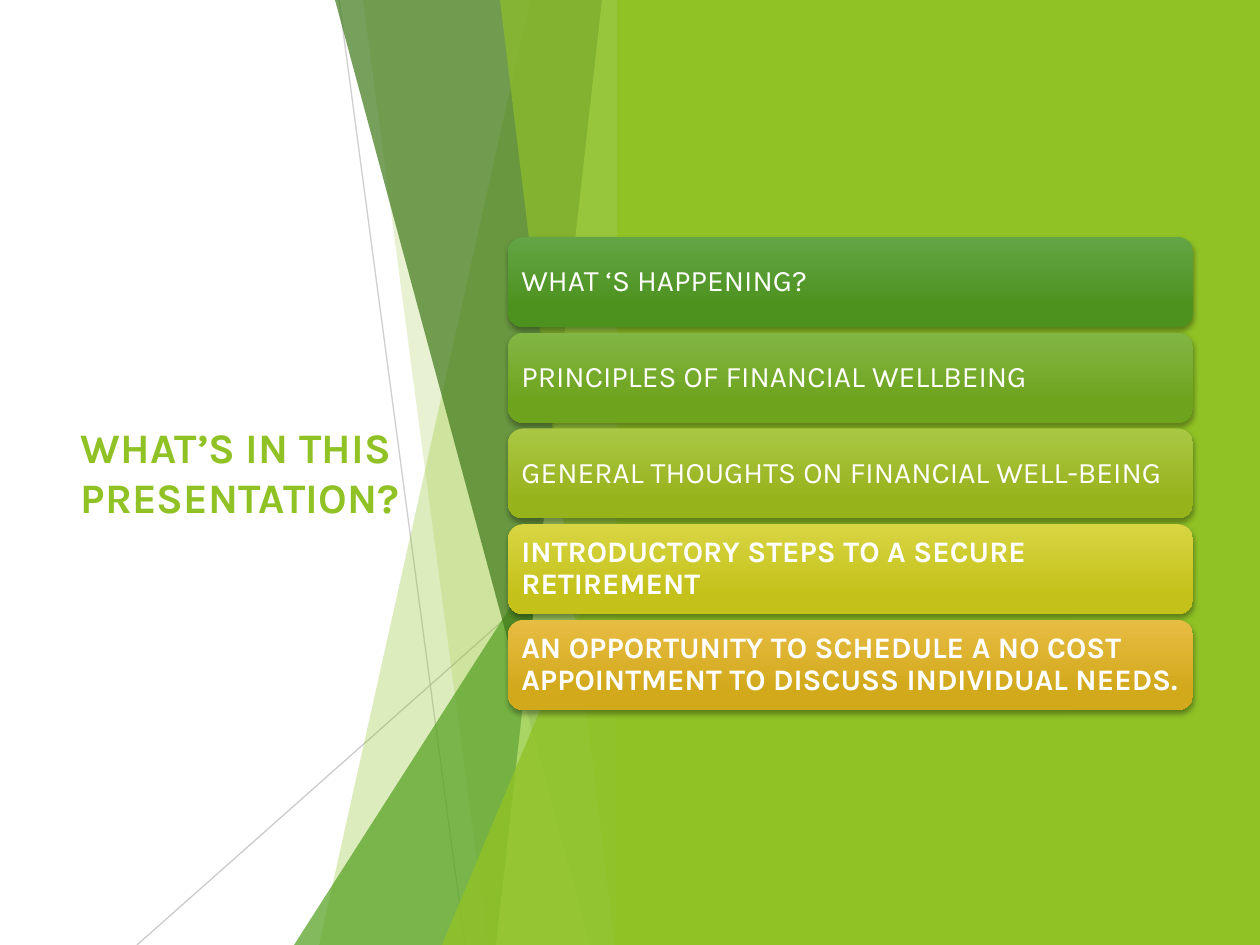
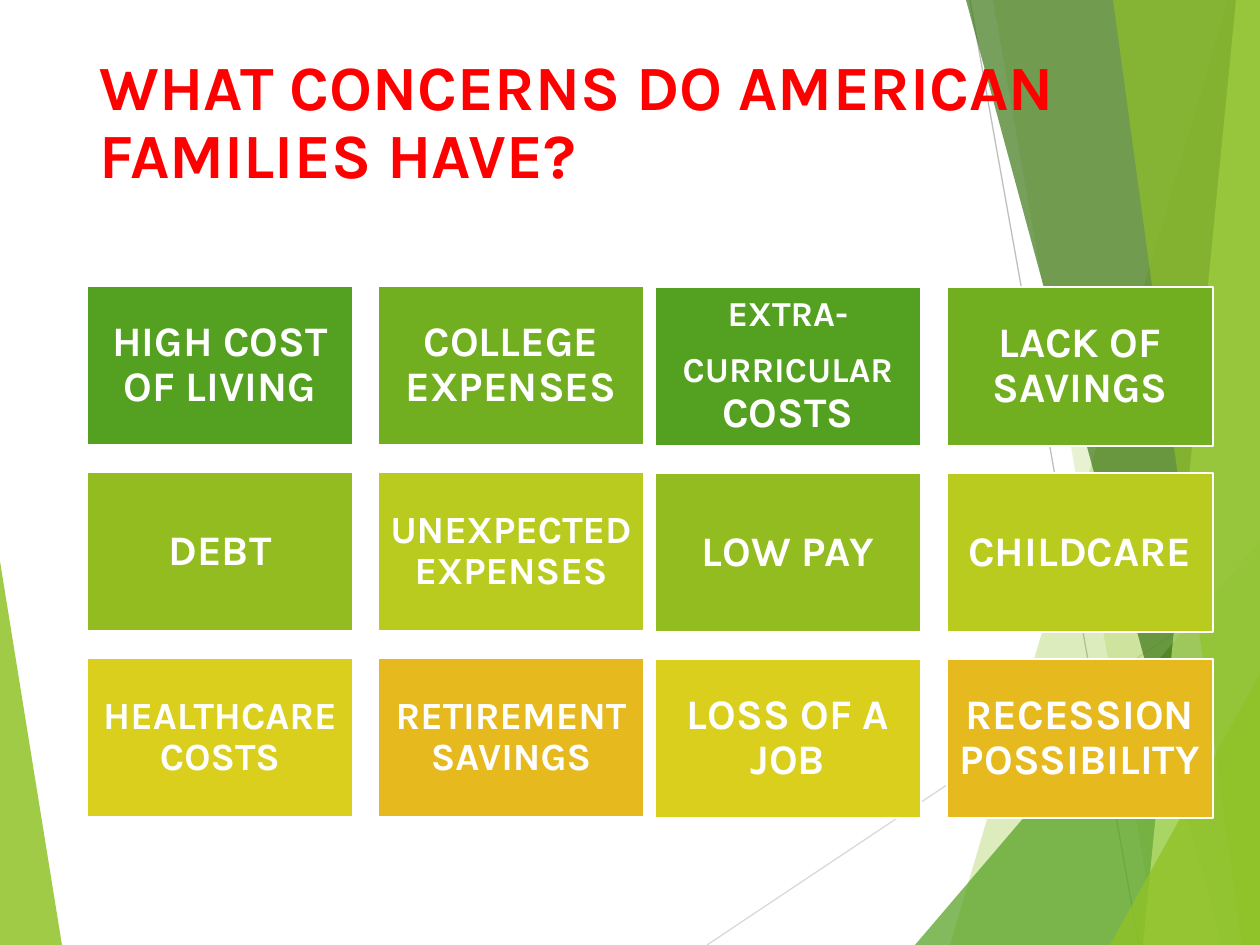
from collections import namedtuple

from lxml.etree import SubElement
from pptx import Presentation
from pptx.dml.color import RGBColor
from pptx.enum.shapes import MSO_CONNECTOR, MSO_SHAPE
from pptx.enum.text import MSO_ANCHOR, PP_ALIGN
from pptx.oxml.ns import qn
from pptx.util import Pt

EMU_PER_PX = 914400 / 126
WIDTH, HEIGHT = 1260, 945
FONT = "Karla"
WHITE, RED, LIME = "FFFFFF", "FF0000", "90C226"
GREEN, FOREST, MINT = "54A021", "3F7819", "C0E474"

Box = namedtuple("Box", "left top width height")
Span = namedtuple("Span", "text size bold")

# Colour and opacity of each facet, from back to front
FACET_STYLES = [(LIME, 30), (LIME, 20), (GREEN, 72), (FOREST, 70),
                (MINT, 70), (LIME, 65), (LIME, 80)]
# Each facet: x and y of its head, x of its foot; it runs to the right edge
AGENDA_FACETS = [(530, 0, 319), (363, 0, 488), (630, 420, 294), (335, 0, 590),
                 (602, 0, 496), (500, 0, 615), (630, 495, 442)]
CONCERN_FACETS = [(598, 0, 320), (363, 0, 528), (630, 541, 285), (336, 0, 592),
                  (606, 0, 513), (483, 0, 612), (630, 674, 480)]
# Each ray: start x, y, end x, y, colour, opacity
AGENDA_RAYS = [(339, 0, 465, 945, "BFBFBF", 75), (630, 508, 137, 945, "BFBFBF", 80)]
CONCERN_RAYS = [(77, 945, 630, 576, "D9D9D9", 100), (340, 0, 509, 945, "BFBFBF", 100)]

AGENDA = [
    ("WHAT ‘S HAPPENING?", False, "63A545", "4D921E"),
    ("PRINCIPLES OF FINANCIAL WELLBEING", False, "82B644", "6EA31D"),
    ("GENERAL THOUGHTS ON FINANCIAL WELL-BEING", False, "AAC744", "97B31C"),
    ("INTRODUCTORY STEPS TO A SECURE RETIREMENT", True, "D8D543", "C4C11A"),
    ("AN OPPORTUNITY TO SCHEDULE A NO COST APPOINTMENT TO DISCUSS "
     "INDIVIDUAL NEEDS.", True, "E7BC43", "D2A91B"),
]
TILE_COLOURS = [GREEN, "71AE20", "92BC1F", "B9CB1E", "DACF1C", "E6B91E"]


def bold(text, size=24):
    return Span(text, size, True)


# Each tile is a list of paragraphs, each paragraph a list of spans
FAMILY_TILES = [
    [[bold("HIGH COST OF LIVING")]],
    [[bold("COLLEGE EXPENSES")]],
    [[bold("DEBT")]],
    [[bold("UNEXPECTED EXPENSES", 22)]],
    [[bold("HEALTHCARE COSTS", 22)]],
    [[bold("RETIREMENT SAVINGS", 22)]],
]
INCOME_TILES = [
    [[bold("EXTRA-", 20)], [bold("CURRICULAR", 20), bold(" COSTS")]],
    [[bold("LACK OF SAVINGS")]],
    [[bold("LOW PAY")]],
    [[bold("CHILDCARE")]],
    [[bold("LOSS OF A JOB")]],
    [[bold("RECESSION POSSIBILITY")]],
]


def px(length):
    return round(length * EMU_PER_PX)


def colour(hex_string):
    return RGBColor.from_string(hex_string)


def set_opacity(part, percent):
    if percent < 100:
        tint = part._element.spPr.find(".//" + qn("a:srgbClr"))
        SubElement(tint, qn("a:alpha"), val=str(percent * 1000))


def write(shape, paragraphs, text_colour=WHITE, inset=(13, 6), spacing=0.9,
          align=PP_ALIGN.LEFT, anchor=MSO_ANCHOR.MIDDLE):
    frame = shape.text_frame
    frame.word_wrap = True
    frame.vertical_anchor = anchor
    frame.margin_left = frame.margin_right = px(inset[0])
    frame.margin_top = frame.margin_bottom = px(inset[1])
    for index, spans in enumerate(paragraphs):
        para = frame.add_paragraph() if index else frame.paragraphs[0]
        para.alignment = align
        para.line_spacing = spacing
        if index < len(paragraphs) - 1:
            para.space_after = Pt(7)
        for span in spans:
            run = para.add_run()
            run.text = span.text
            run.font.name = FONT
            run.font.size = Pt(span.size)
            run.font.bold = span.bold
            run.font.color.rgb = colour(text_colour)


def add_title(page, box, text, size, text_colour, spacing, anchor):
    title = page.shapes.add_textbox(*map(px, box))
    write(title, [[bold(text, size)]], text_colour, spacing=spacing, anchor=anchor)


def add_block(page, kind, box, fill=None):
    block = page.shapes.add_shape(kind, *map(px, box))
    block.shadow.inherit = False
    block.line.fill.background()
    if fill:
        block.fill.solid()
        block.fill.fore_color.rgb = colour(fill)
    return block


def add_facet(page, points, fill, opacity):
    builder = page.shapes.build_freeform(*points[0], scale=EMU_PER_PX)
    builder.add_line_segments(points[1:], close=True)
    facet = builder.convert_to_shape()
    facet.shadow.inherit = False
    facet.fill.solid()
    facet.fill.fore_color.rgb = colour(fill)
    facet.line.fill.background()
    set_opacity(facet, opacity)


def add_ray(page, box, ray):
    x1, y1, x2, y2, tint, opacity = ray
    line = page.shapes.add_connector(
        MSO_CONNECTOR.STRAIGHT, px(box.left + x1), px(box.top + y1),
        px(box.left + x2), px(box.top + y2))
    line.line.width = Pt(0.75)
    line.line.color.rgb = colour(tint)
    set_opacity(line, opacity)
    SubElement(line._element.spPr, qn("a:effectLst"))


def add_facets(page, box, rays, facets):
    """Draw thin rays and, over them, translucent facets ending at the box's right."""
    for ray in rays:
        add_ray(page, box, ray)
    right, bottom = box.left + box.width, box.top + box.height
    for (head_x, head_y, foot_x), style in zip(facets, FACET_STYLES):
        head = (box.left + head_x, box.top + head_y)
        corners = [head, (right, head[1]), (right, bottom), (box.left + foot_x, bottom)]
        add_facet(page, list(dict.fromkeys(corners)), *style)


def add_soft_shadow(shape):
    effects = shape._element.spPr.find(qn("a:effectLst"))
    shadow = SubElement(effects, qn("a:outerShdw"), blurRad=str(Pt(3)),
                        dist=str(Pt(2)), dir="5400000", rotWithShape="0")
    tint = SubElement(shadow, qn("a:srgbClr"), val="000000")
    SubElement(tint, qn("a:alpha"), val="35000")


def add_agenda(page, box, bar_height=90):
    pitch = (box.height - bar_height) / (len(AGENDA) - 1)
    for index, (text, is_bold, light, deep) in enumerate(AGENDA):
        bar_box = Box(box.left, box.top + index * pitch, box.width, bar_height)
        bar = add_block(page, MSO_SHAPE.ROUNDED_RECTANGLE, bar_box)
        bar.fill.gradient()
        bar.fill.gradient_angle = 270
        for stop, tint, position in zip(bar.fill.gradient_stops, (light, deep), (0, 0.78)):
            stop.color.rgb = colour(tint)
            stop.position = position
        add_soft_shadow(bar)
        write(bar, [[Span(text, 17, is_bold)]], inset=(9, 9))


def add_tiles(page, box, tiles, tile_width=266, tile_height=159):
    """Fill the box with two columns and three rows of tiles."""
    across, down = box.width - tile_width, (box.height - tile_height) / 2
    for index, (paragraphs, fill) in enumerate(zip(tiles, TILE_COLOURS)):
        row, column = divmod(index, 2)
        tile_box = Box(box.left + column * across, box.top + row * down,
                       tile_width, tile_height)
        tile = add_block(page, MSO_SHAPE.RECTANGLE, tile_box, fill)
        tile.line.color.rgb = colour(WHITE)
        tile.line.width = Pt(1.5)
        write(tile, paragraphs, inset=(11, 11), align=PP_ALIGN.CENTER)


def build_agenda_page(page):
    add_title(page, Box(68, 190, 367, 564), "WHAT’S IN THIS PRESENTATION?",
              24, LIME, 1.0, MSO_ANCHOR.MIDDLE)
    add_facets(page, Box(0, 0, 630, HEIGHT), AGENDA_RAYS, AGENDA_FACETS)
    add_block(page, MSO_SHAPE.RECTANGLE, Box(617, 0, WIDTH - 617, HEIGHT), LIME)
    add_agenda(page, Box(508, 237, 685, 473))


def build_concerns_page(page):
    add_facet(page, [(0, 561), (62, HEIGHT), (0, HEIGHT)], LIME, 85)
    add_facets(page, Box(630, 0, 630, HEIGHT), CONCERN_RAYS, CONCERN_FACETS)
    add_title(page, Box(87, 50, 1110, 183), "WHAT CONCERNS DO AMERICAN FAMILIES HAVE?",
              36, RED, 0.9, MSO_ANCHOR.TOP)
    add_tiles(page, Box(87, 286, 557, 531), FAMILY_TILES)
    add_tiles(page, Box(655, 287, 558, 531), INCOME_TILES)


def main():
    deck = Presentation()
    deck.slide_width, deck.slide_height = px(WIDTH), px(HEIGHT)
    for build_page in (build_agenda_page, build_concerns_page):
        build_page(deck.slides.add_slide(deck.slide_layouts[6]))
    deck.save("out.pptx")


if __name__ == "__main__":
    main()
